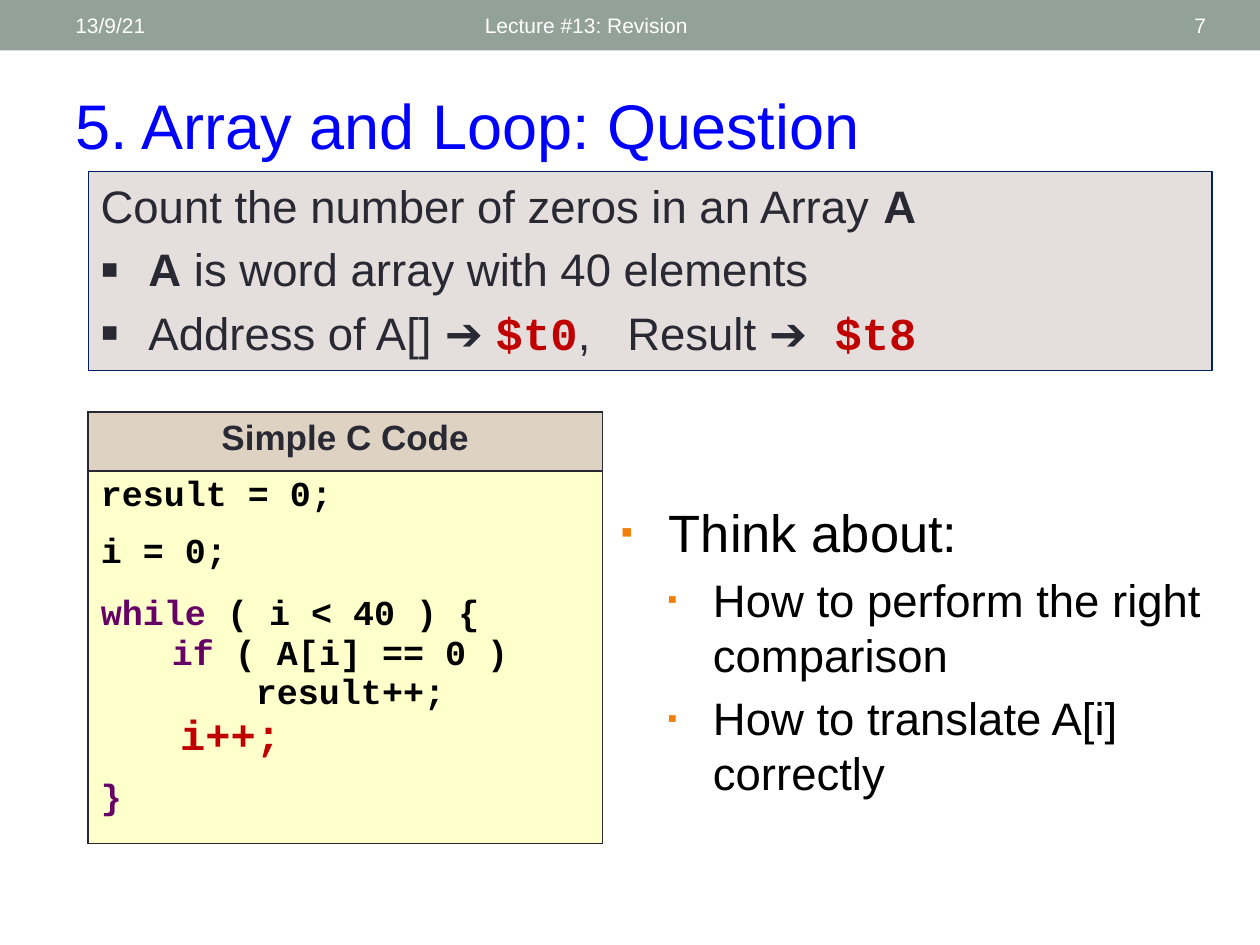
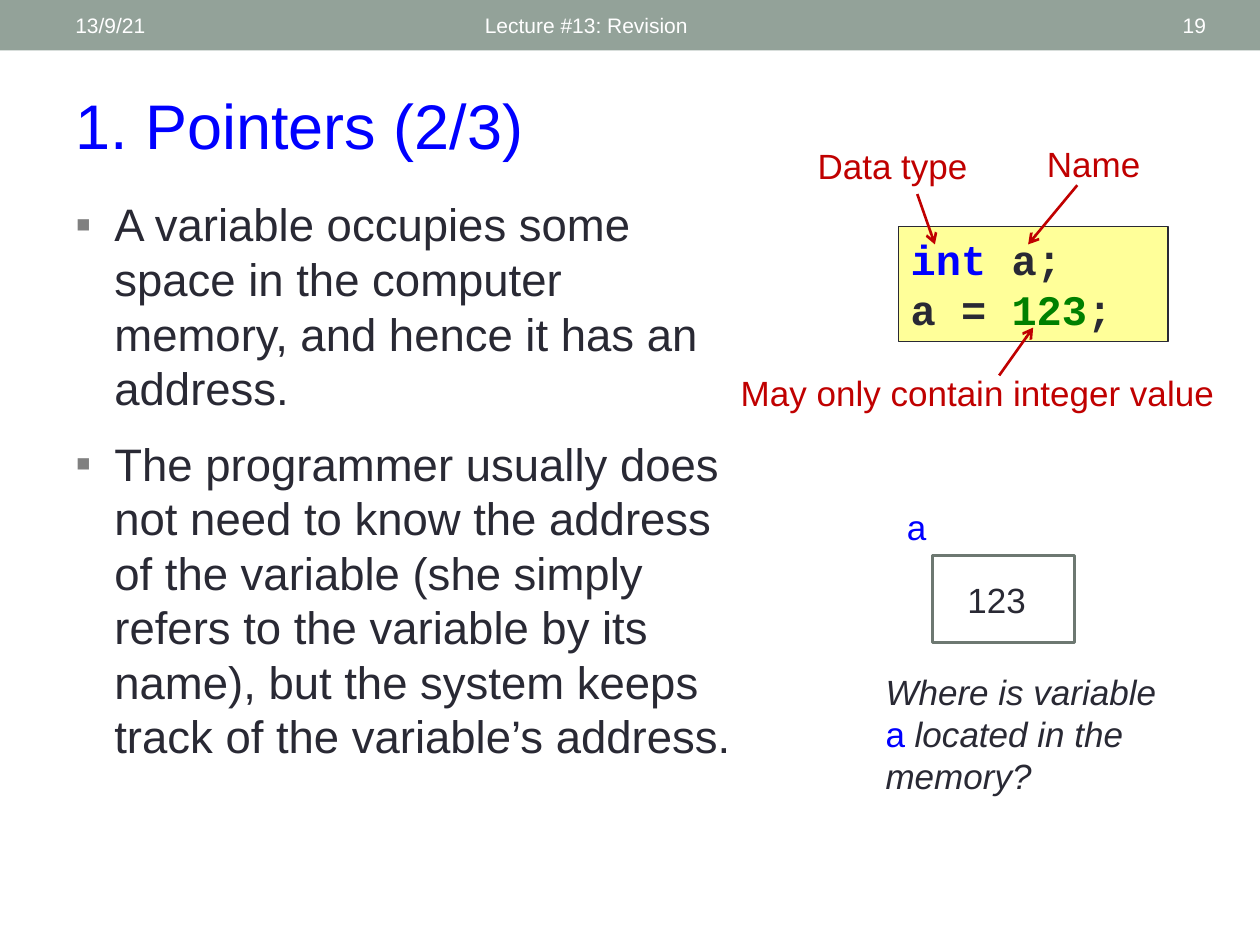
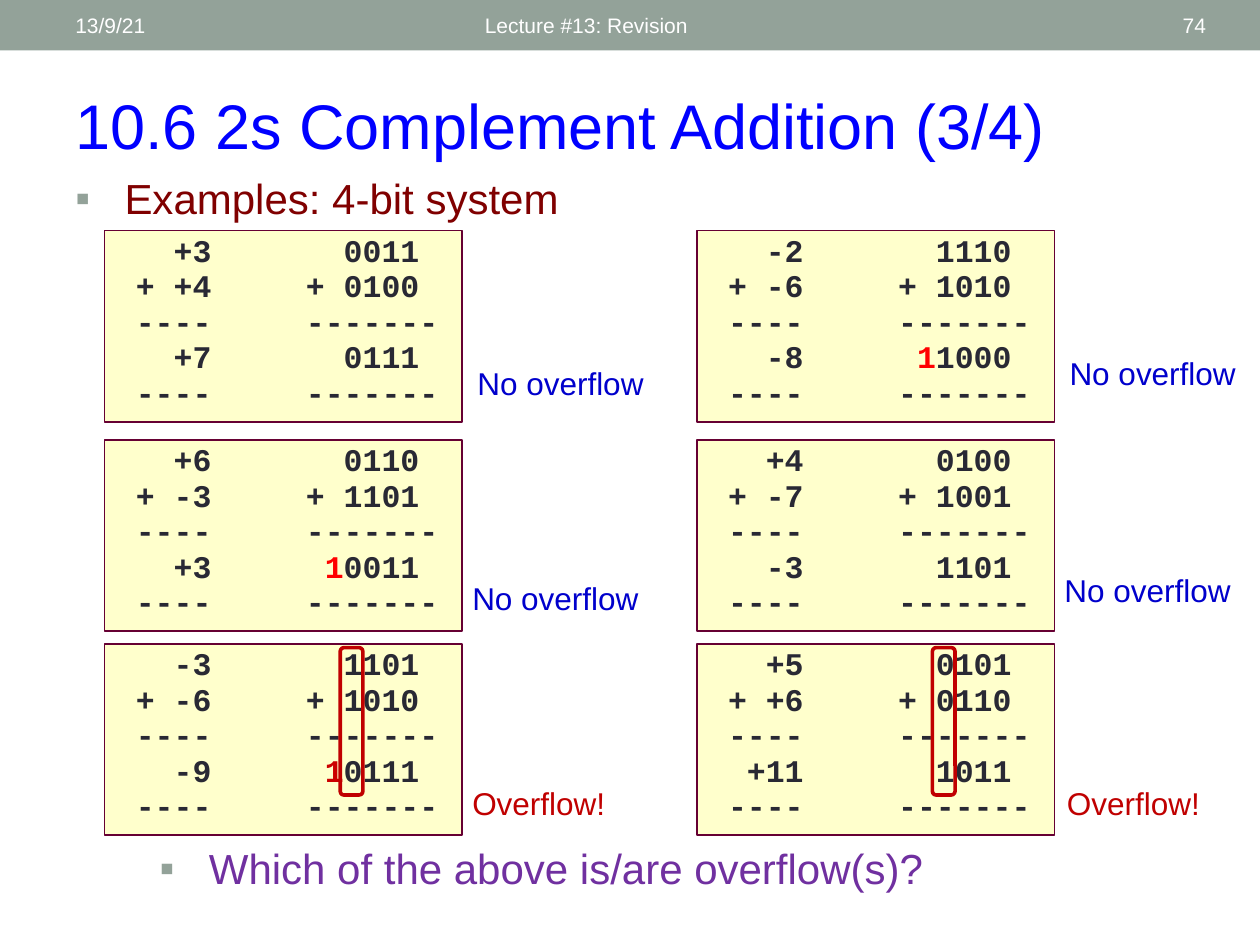
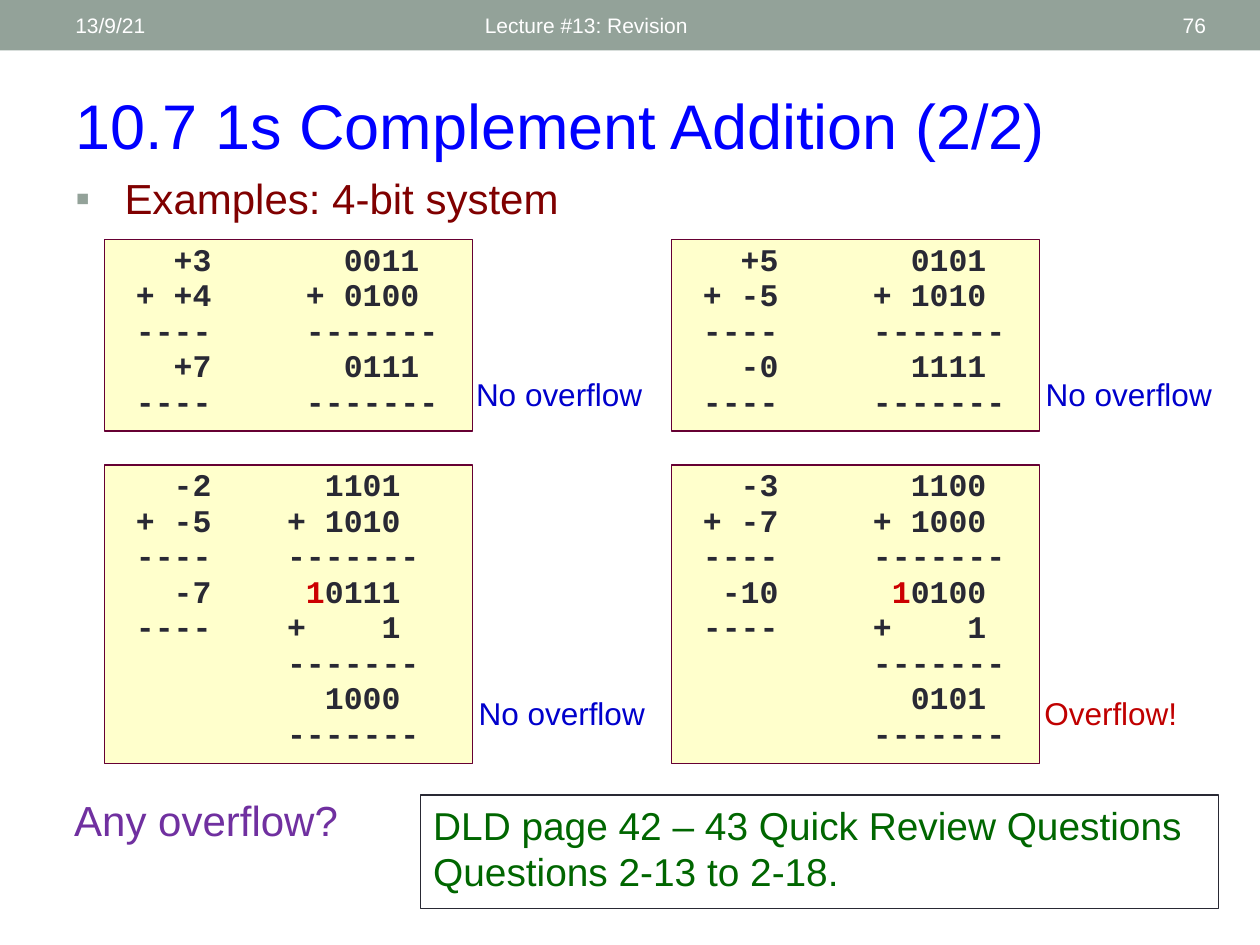
from dataclasses import dataclass
from typing import NamedTuple, Optional, Sequence

from lxml.etree import SubElement
from pptx import Presentation
from pptx.dml.color import RGBColor
from pptx.enum.shapes import MSO_CONNECTOR as Connector, MSO_SHAPE as Preset
from pptx.enum.text import MSO_ANCHOR as Anchor, PP_ALIGN as Align
from pptx.oxml.ns import qn
from pptx.util import Inches, Pt


# Theme: colours, fonts and type sizes
@dataclass(frozen=True)
class Theme:
    sans: str = "Arial"
    mono: str = "Courier New"
    white: str = "FFFFFF"
    black: str = "000000"
    ink: str = "292934"
    band: str = "93A299"
    title: str = "0000FF"
    name: str = "0000FF"
    red: str = "C00000"
    bright_red: str = "FF0000"
    deep_red: str = "CC0000"
    blue: str = "0000CC"
    purple: str = "7030A0"
    keyword: str = "660066"
    maroon: str = "800000"
    number: str = "008000"
    green: str = "006600"
    navy: str = "002060"
    orange: str = "F07F09"
    gray: str = "808080"
    slate: str = "6D7871"
    plum: str = "660033"
    panel: str = "E4DFDC"
    tan: str = "DED2C2"
    cream: str = "FFFFCC"
    yellow: str = "FFFF99"
    footer_size: float = 12
    sum_size: float = 18
    label_size: float = 20
    review_size: float = 22.2
    lead_size: float = 24
    body_size: float = 26
    think_size: float = 30
    title_size: float = 36


THEME = Theme()


# Building blocks of text and shapes
class Area(NamedTuple):
    left: float
    top: float
    width: float
    height: float


@dataclass(frozen=True)
class Span:
    text: str
    size: float = THEME.body_size
    color: str = THEME.ink
    font: str = THEME.sans
    bold: bool = False
    italic: bool = False


@dataclass(frozen=True)
class Bullet:
    color: str
    percent: int = 100


class Tab(NamedTuple):
    position: float
    align: str = "l"


@dataclass(frozen=True)
class Para:
    spans: Sequence[Span]
    before: float = 0
    bullet: Optional[Bullet] = None
    margin: float = 0
    indent: float = 0
    level: int = 0
    align: Align = Align.LEFT
    line_spacing: Optional[float] = None
    tabs: Sequence[Tab] = ()


@dataclass(frozen=True)
class Line:
    color: str
    width: float = 1


def apply_format(target, values: dict) -> None:
    for name, value in values.items():
        setattr(target, name, value)


def write_span(para, span: Span) -> None:
    for index, piece in enumerate(span.text.split("\n")):
        if index:
            para.add_line_break()
        if not piece:
            continue
        run = para.add_run()
        run.text = piece
        apply_format(run.font, {"name": span.font, "size": Pt(span.size),
                                "bold": span.bold, "italic": span.italic})
        run.font.color.rgb = RGBColor.from_string(span.color)


def write_paras(frame, paras: Sequence[Para]) -> None:
    for index, item in enumerate(paras):
        para = frame.add_paragraph() if index else frame.paragraphs[0]
        values = {"alignment": item.align, "level": item.level}
        if item.line_spacing:
            values["line_spacing"] = item.line_spacing
        if index and item.before:
            values["space_before"] = Pt(item.before)
        apply_format(para, values)
        props = para._p.get_or_add_pPr()
        # An explicit zero indent would cancel the tab stops
        if item.margin or item.indent:
            props.set("marL", str(Inches(item.margin)))
            props.set("indent", str(Inches(item.indent)))
        if item.bullet:
            color = SubElement(props, qn("a:buClr"))
            SubElement(color, qn("a:srgbClr"), val=item.bullet.color)
            SubElement(props, qn("a:buSzPct"), val=str(item.bullet.percent * 1000))
            SubElement(props, qn("a:buFont"), typeface=THEME.sans)
            SubElement(props, qn("a:buChar"), char="▪")
        if item.tabs:
            stops = SubElement(props, qn("a:tabLst"))
            for tab in item.tabs:
                SubElement(stops, qn("a:tab"), pos=str(Inches(tab.position)), algn=tab.align)
        for span in item.spans:
            write_span(para, span)


def add_text(page, area: Area, *paras: Para, anchor: Anchor = Anchor.TOP) -> None:
    frame = page.shapes.add_textbox(*map(Inches, area)).text_frame
    apply_format(frame, {"word_wrap": True, "vertical_anchor": anchor})
    write_paras(frame, paras)


def add_box(page, area: Area, *paras: Para, fill: Optional[str] = None,
            line: Optional[Line] = None, preset: Preset = Preset.RECTANGLE) -> None:
    box = page.shapes.add_shape(preset, *map(Inches, area))
    box.shadow.inherit = False
    if fill:
        box.fill.solid()
        box.fill.fore_color.rgb = RGBColor.from_string(fill)
    else:
        box.fill.background()
    if line:
        box.line.color.rgb = RGBColor.from_string(line.color)
        box.line.width = Pt(line.width)
    else:
        box.line.fill.background()
    apply_format(box.text_frame, {"word_wrap": True, "vertical_anchor": Anchor.TOP})
    write_paras(box.text_frame, paras)


def add_arrow(page, start: tuple[float, float], end: tuple[float, float]) -> None:
    arrow = page.shapes.add_connector(Connector.STRAIGHT, *map(Inches, start + end))
    arrow.line.color.rgb = RGBColor.from_string(THEME.red)
    arrow.line.width = Pt(1.5)
    SubElement(arrow.line._get_or_add_ln(), qn("a:tailEnd"), type="arrow")
    SubElement(arrow._element.spPr, qn("a:effectLst"))


# Band, footers and title shared by all slides
def add_page(deck, title: str, number: int):
    page = deck.slides.add_slide(deck.slide_layouts[6])
    add_box(page, Area(0, 0, 10, 0.4), fill=THEME.band)
    for left, width, text, align in (
        (0.5, 3.17, "13/9/21", Align.LEFT),
        (3.75, 4.5, "Lecture #13: Revision", Align.LEFT),
        (8.72, 0.95, str(number), Align.RIGHT),
    ):
        span = Span(text, THEME.footer_size, THEME.white)
        add_text(page, Area(left, 0.02, width, 0.36), Para([span], align=align),
                 anchor=Anchor.MIDDLE)
    add_text(page, Area(0.5, 0.64, 9, 0.71),
             Para([Span(title, THEME.title_size, THEME.title)]))
    return page


def add_examples_lead(page) -> None:
    span = Span("Examples: 4-bit system", THEME.lead_size, THEME.maroon)
    add_text(page, Area(0.5, 1.32, 9, 0.58),
             Para([span], bullet=Bullet(THEME.band), margin=0.39, indent=-0.39))


# Worked additions: decimal column on the left, binary column on the right
CHAR = 0.15  # width of one character at the size of the sums, in inches
DECIMAL_RULE, BINARY_RULE = "-" * 4, "-" * 7


class Verdict(NamedTuple):
    text: str
    color: str


FITS = Verdict("No overflow", THEME.blue)
OVERFLOWS = Verdict("Overflow!", THEME.red)


@dataclass(frozen=True)
class Sum:
    left: float
    top: float
    decimals: tuple[str, str, str]
    binaries: tuple[str, str, str]
    verdict: Verdict
    verdict_at: tuple[float, float]
    wrapped: str = ""  # result after the carry is added back
    carry_color: str = THEME.deep_red
    binary_end: int = 16
    marked: bool = False


def sum_row(example: Sum, *cells: str) -> Para:
    def mono(text: str, color: str = THEME.ink) -> Span:
        return Span(text, THEME.sum_size, color, THEME.mono, bold=True)

    end = example.binary_end
    last = cells[-1]
    ends = [5, end + (last == BINARY_RULE)]
    if len(cells) == 3:
        ends.insert(1, end - 5)
    lead = "".join(f"\t{cell}" for cell in cells[:-1]) + "\t"
    if len(last) == 5:  # four bits and a carry
        spans = [mono(lead), mono(last[0], example.carry_color), mono(last[1:])]
    else:
        spans = [mono(lead + last)]
    return Para(spans, before=1.9, line_spacing=0.85,
                tabs=[Tab(stop * CHAR, "r") for stop in ends])


def add_sum(page, example: Sum, width: float) -> None:
    first, second, total = zip(example.decimals, example.binaries)
    rule = (DECIMAL_RULE, BINARY_RULE)
    rows = [first, tuple(f"+ {term}" for term in second), rule, total]
    if example.wrapped:
        rows += [(DECIMAL_RULE, "+", "1"), ("", BINARY_RULE),
                 ("", example.wrapped), ("", BINARY_RULE)]
    else:
        rows.append(rule)
    height = 2.37 if example.wrapped else 1.52
    add_box(page, Area(example.left, example.top, width, height),
            *(sum_row(example, *row) for row in rows),
            fill=THEME.cream, line=Line(THEME.plum))
    if example.marked:
        add_box(page, Area(example.left + 1.87, example.top + 0.03, 0.18, 1.17),
                line=Line(THEME.red, 2.08), preset=Preset.ROUNDED_RECTANGLE)
    add_text(page, Area(*example.verdict_at, 1.6, 0.4),
             Para([Span(example.verdict.text, THEME.sum_size, example.verdict.color)]))


# Slide: array and loop
def code(text: str, color: str = THEME.black, size: float = THEME.label_size) -> Span:
    return Span(text, size, color, THEME.mono, bold=True)


def add_code_table(page) -> None:
    area = Area(0.7, 3.27, 4.08, 3.42)
    table = page.shapes.add_table(2, 1, *map(Inches, area)).table
    apply_format(table, {"first_row": False, "horz_banding": False})
    header = [Para([Span("Simple C Code", THEME.label_size, bold=True)], align=Align.CENTER)]
    statements = [
        ([code("result = 0;")], 0),
        ([code("i = 0;")], 10),
        ([code("while ", THEME.keyword), code("( i < 40 ) {\n  "),
          code("if", THEME.keyword), code(" ( A[i] == 0 ) \n      result++;\n"),
          code("  i++;", THEME.red, THEME.lead_size)], 12.5),
        ([code("}", THEME.keyword)], 10),
    ]
    body = [Para(spans, before, margin=0.23, indent=-0.36) for spans, before in statements]
    for index, (height, fill, paras) in enumerate(
            ((0.47, THEME.tan, header), (2.95, THEME.cream, body))):
        table.rows[index].height = Inches(height)
        cell = table.cell(index, 0)
        write_paras(cell.text_frame, paras)
        props = cell._tc.get_or_add_tcPr()
        for side in ("a:lnL", "a:lnR", "a:lnT", "a:lnB"):
            border = SubElement(props, qn(side), w=str(Pt(1)))
            paint = SubElement(border, qn("a:solidFill"))
            SubElement(paint, qn("a:srgbClr"), val=THEME.ink)
        cell.fill.solid()
        cell.fill.fore_color.rgb = RGBColor.from_string(fill)


def build_array_page(deck) -> None:
    page = add_page(deck, "5. Array and Loop: Question", 7)
    item = {"before": 5.2, "bullet": Bullet(THEME.ink, 120), "margin": 0.38, "indent": -0.38}
    register = {"color": THEME.red, "font": THEME.mono, "bold": True}
    add_box(
        page, Area(0.7, 1.36, 8.92, 1.58),
        Para([Span("Count the number of zeros in an Array "), Span("A", bold=True)]),
        Para([Span("A", bold=True), Span(" is word array with 40 elements")], **item),
        Para([Span("Address of A[] ➔ "), Span("$t0", **register),
              Span(",\tResult ➔"), Span(" $t8", **register)], tabs=[Tab(4.18)], **item),
        fill=THEME.panel, line=Line(THEME.navy, 0.75))
    add_code_table(page)
    hints = ("How to perform the right comparison", "How to translate A[i] correctly")
    add_box(
        page, Area(4.83, 3.92, 4.92, 2.75),
        Para([Span("Think about:", THEME.think_size, THEME.black)],
             bullet=Bullet(THEME.orange, 65), margin=0.38, indent=-0.38),
        *(Para([Span(hint, color=THEME.black)], before=5.2, level=1,
               bullet=Bullet(THEME.orange, 60), margin=0.73, indent=-0.36) for hint in hints),
        line=Line(THEME.white))


# Slide: pointers
@dataclass(frozen=True)
class Callout:
    text: str
    area: Area
    start: tuple[float, float]
    end: tuple[float, float]


CALLOUTS = (
    Callout("Data type", Area(6.39, 1.1, 1.55, 0.44), (7.28, 1.54), (7.42, 1.94)),
    Callout("Name", Area(8.21, 1.08, 1.07, 0.44), (8.55, 1.47), (8.16, 1.94)),
    Callout("May only contain integer value", Area(5.78, 2.9, 3.98, 0.44),
            (7.93, 2.98), (8.2, 2.6)),
)


def build_pointers_page(deck) -> None:
    page = add_page(deck, "1. Pointers (2/3)", 19)
    points = (
        "A variable occupies some space in the computer memory, and hence it has an address.",
        "The programmer usually does not need to know the address of the variable (she simply "
        "refers to the variable by its name), but the system keeps track of the variable’s "
        "address.",
    )
    add_text(page, Area(0.5, 1.51, 5.44, 4.64),
             *(Para([Span(point)], before=12, bullet=Bullet(THEME.gray),
                    margin=0.31, indent=-0.31) for point in points))

    # Declaration with its callouts
    statements = (
        (("int", THEME.name), (" a;", THEME.ink)),
        (("a = ", THEME.ink), ("123", THEME.number), (";", THEME.ink)),
    )
    add_box(page, Area(7.13, 1.8, 2.14, 0.91),
            *(Para([code(text, color, THEME.lead_size) for text, color in statement])
              for statement in statements),
            fill=THEME.yellow, line=Line(THEME.ink, 0.75))
    for callout in CALLOUTS:
        add_arrow(page, callout.start, callout.end)
        add_text(page, callout.area,
                 Para([Span(callout.text, THEME.label_size, THEME.red)]))

    # Memory cell of the variable
    size = THEME.label_size
    variable = Span("a", size, THEME.name)
    add_box(page, Area(7.4, 4.41, 1.13, 0.69), line=Line(THEME.slate, 2.08))
    add_text(page, Area(7.1, 3.96, 0.56, 0.44), Para([variable]))
    add_text(page, Area(7.58, 4.54, 0.78, 0.44), Para([Span("123", size)]))
    add_text(page, Area(6.93, 5.27, 2.47, 1.11),
             Para([Span("Where is variable ", size, italic=True), variable,
                   Span(" located in the memory?", size, italic=True)]))


# Slide: 2s complement addition
def build_twos_page(deck) -> None:
    page = add_page(deck, "10.6 2s Complement Addition (3/4)", 74)
    add_examples_lead(page)
    left, right = 0.83, 5.53
    top, middle, bottom = 1.83, 3.49, 5.11
    examples = (
        Sum(left, top, ("+3", "+4", "+7"), ("0011", "0100", "0111"), FITS, (3.69, 2.84)),
        Sum(right, top, ("-2", "-6", "-8"), ("1110", "1010", "11000"), FITS, (8.39, 2.76),
            carry_color=THEME.bright_red),
        Sum(left, middle, ("+6", "-3", "+3"), ("0110", "1101", "10011"), FITS, (3.65, 4.55),
            carry_color=THEME.bright_red),
        Sum(right, middle, ("+4", "-7", "-3"), ("0100", "1001", "1101"), FITS, (8.35, 4.48)),
        Sum(left, bottom, ("-3", "-6", "-9"), ("1101", "1010", "10111"), OVERFLOWS,
            (3.65, 6.17), marked=True),
        Sum(right, bottom, ("+5", "+6", "+11"), ("0101", "0110", "1011"), OVERFLOWS,
            (8.37, 6.17), marked=True),
    )
    for example in examples:
        add_sum(page, example, 2.84)
    question = Span("Which of the above is/are overflow(s)?", THEME.lead_size, THEME.purple)
    add_text(page, Area(1.08, 6.64, 7.17, 0.52),
             Para([question], bullet=Bullet(THEME.band), margin=0.48, indent=-0.39))


# Slide: 1s complement addition
def build_ones_page(deck) -> None:
    page = add_page(deck, "10.7 1s Complement Addition (2/2)", 76)
    add_examples_lead(page)
    left, right = 0.83, 5.33
    top, bottom = 1.9, 3.69
    examples = (
        Sum(left, top, ("+3", "+4", "+7"), ("0011", "0100", "0111"), FITS, (3.68, 2.93)),
        Sum(right, top, ("+5", "-5", "-0"), ("0101", "1010", "1111"), FITS, (8.2, 2.93)),
        Sum(left, bottom, ("-2", "-5", "-7"), ("1101", "1010", "10111"), FITS, (3.7, 5.46),
            wrapped="1000", binary_end=15),
        Sum(right, bottom, ("-3", "-7", "-10"), ("1100", "1000", "10100"), OVERFLOWS,
            (8.19, 5.46), wrapped="0101"),
    )
    for example in examples:
        add_sum(page, example, 2.92)
    add_text(page, Area(0.49, 6.26, 2.65, 0.51),
             Para([Span("Any overflow?", THEME.lead_size, THEME.purple)]))
    review = "DLD page 42 – 43 Quick Review Questions\nQuestions 2-13 to 2-18."
    add_box(page, Area(3.34, 6.31, 6.33, 0.9),
            Para([Span(review, THEME.review_size, THEME.green)]),
            line=Line(THEME.ink, 0.75))


def main() -> None:
    deck = Presentation()
    apply_format(deck, {"slide_width": Inches(10), "slide_height": Inches(7.5)})
    for build in (build_array_page, build_pointers_page, build_twos_page, build_ones_page):
        build(deck)
    deck.save("out.pptx")


if __name__ == "__main__":
    main()
